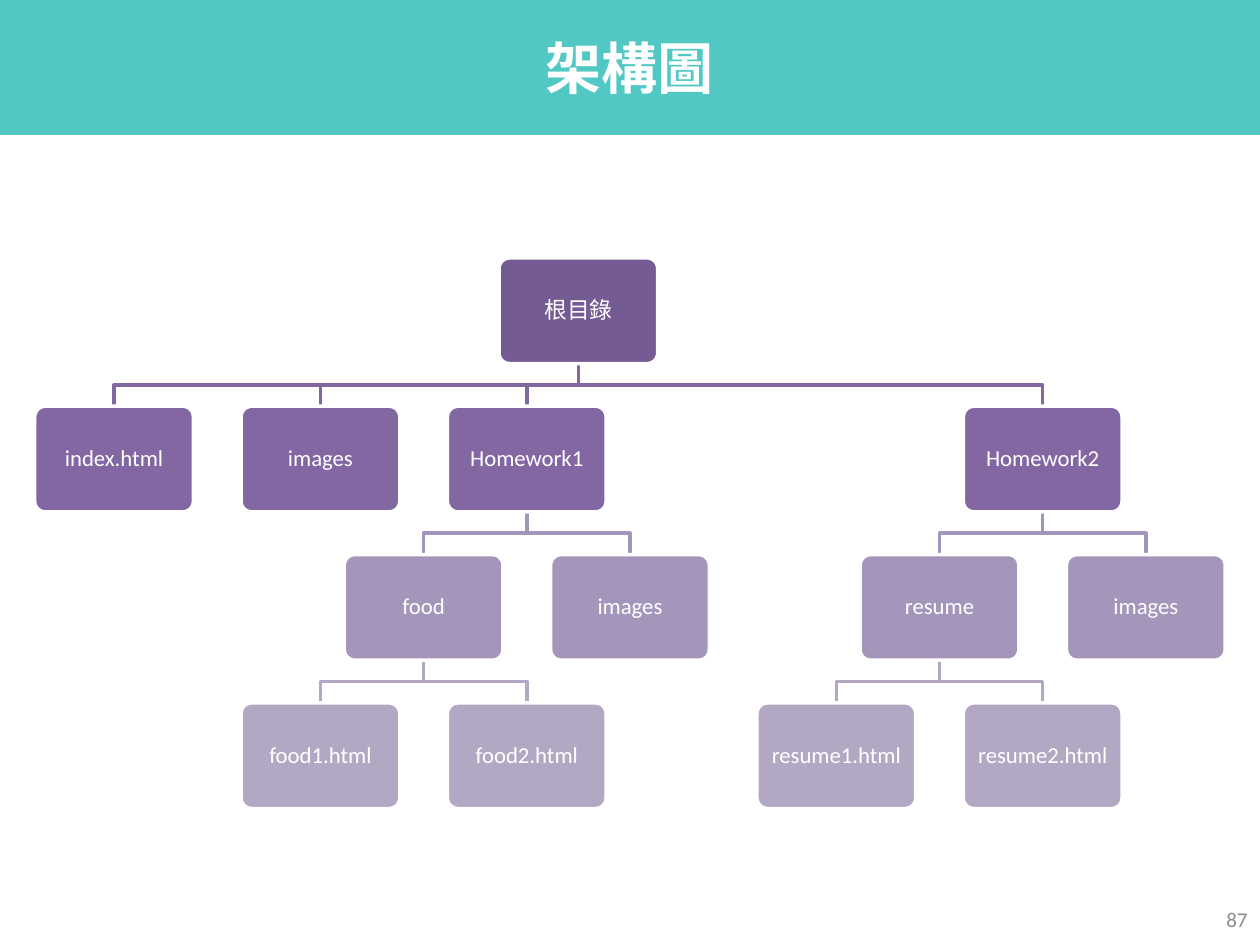
import pptx
import pptx.util
import pptx.dml.color
import pptx.enum.shapes
import pptx.enum.text
import pptx.oxml.ns
import lxml.etree

Cm, Pt = pptx.util.Cm, pptx.util.Pt
KIND = pptx.enum.shapes.MSO_SHAPE
ALIGN = pptx.enum.text.PP_ALIGN
qn = pptx.oxml.ns.qn

# Content: a leaf carries its column, a branch its children
TITLE, PAGE = "架構圖", "87"
TREE = ("根目錄", [
    ("index.html", 0),
    ("images", 2),
    ("Homework1", [
        ("food", [("food1.html", 2), ("food2.html", 4)]),
        ("images", 5),
    ]),
    ("Homework2", [
        ("resume", [("resume1.html", 7), ("resume2.html", 9)]),
        ("images", 10),
    ]),
])
TINTS = ["745B93", "8267A3", "A496BA", "B3A8C4"]  # one per level
LATIN, HAN = "Calibri", "Noto Sans CJK SC"

# Grid in cm
LEFT, TOP = 2.3, 5.2        # centre of column 0, top of level 0
STEP, PITCH = 2.08, 2.99    # column and level steps
WIDE, HIGH = 3.2, 2.13      # box size


def color(code):
    return pptx.dml.color.RGBColor.from_string(code)


def write(shape, text, size, face, ink="FFFFFF", align=ALIGN.CENTER, bold=False):
    frame = shape.text_frame
    frame.word_wrap = True
    frame.vertical_anchor = pptx.enum.text.MSO_ANCHOR.MIDDLE
    para = frame.paragraphs[0]
    para.text = text
    para.alignment = align
    font = para.font
    font.size, font.name, font.bold = Pt(size), face, bold
    font.color.rgb = color(ink)
    if face == HAN:
        props = para._p.pPr.find(qn("a:defRPr"))
        lxml.etree.SubElement(props, qn("a:ea"), typeface=face)
    return para


def block(kind, x, y, w, h, fill):
    shape = slide.shapes.add_shape(kind, Cm(x), Cm(y), Cm(w), Cm(h))
    shape.shadow.inherit = False
    shape.fill.solid()
    shape.fill.fore_color.rgb = color(fill)
    shape.line.fill.background()
    return shape


def stroke(shape, ink):
    shape.line.color.rgb = color(ink)
    shape.line.width = Pt(2)


def column(node):
    """A branch sits midway between its first and last child."""
    kids = node[1]
    if isinstance(kids, list):
        return (column(kids[0]) + column(kids[-1])) / 2
    return kids


def center(node):
    return LEFT + STEP * column(node)


def elbow(x1, y1, x2, y2, ink):
    mid = (y1 + y2) / 2
    path = slide.shapes.build_freeform(Cm(x1), Cm(y1))
    path.add_line_segments(
        [(Cm(x), Cm(y)) for x, y in ((x1, mid), (x2, mid), (x2, y2))], close=False)
    line = path.convert_to_shape()
    line.shadow.inherit = False
    line.fill.background()
    stroke(line, ink)


def box(node, level):
    name = node[0]
    shape = block(KIND.ROUNDED_RECTANGLE, center(node) - WIDE / 2,
                  TOP + PITCH * level, WIDE, HIGH, TINTS[level])
    shape.adjustments[0] = 0.1
    stroke(shape, "FFFFFF")
    frame = shape.text_frame
    frame.margin_left = frame.margin_right = Cm(0.2)
    frame.margin_top = frame.margin_bottom = Cm(0.2)
    para = write(shape, name, 13, LATIN if name.isascii() else HAN)
    para.line_spacing = 0.9


def draw(node, level=0):
    kids = node[1]
    if isinstance(kids, list):
        for kid in kids:
            elbow(center(node), TOP + PITCH * level + HIGH,
                  center(kid), TOP + PITCH * (level + 1), TINTS[level + 1])
            draw(kid, level + 1)
    box(node, level)


deck = pptx.Presentation()
deck.slide_width, deck.slide_height = Cm(25.4), Cm(19.05)
slide = deck.slides.add_slide(deck.slide_layouts[6])

# Title band
write(block(KIND.RECTANGLE, 0, 0, 25.4, 2.72, "52C8C4"), TITLE, 32, HAN, bold=True)

# Directory tree
draw(TREE)

# Page number
note = slide.shapes.add_textbox(Cm(24.13), Cm(18.21), Cm(1.27), Cm(0.64))
write(note, PAGE, 12, LATIN, "8C8C8C", ALIGN.RIGHT)

deck.save("out.pptx")
